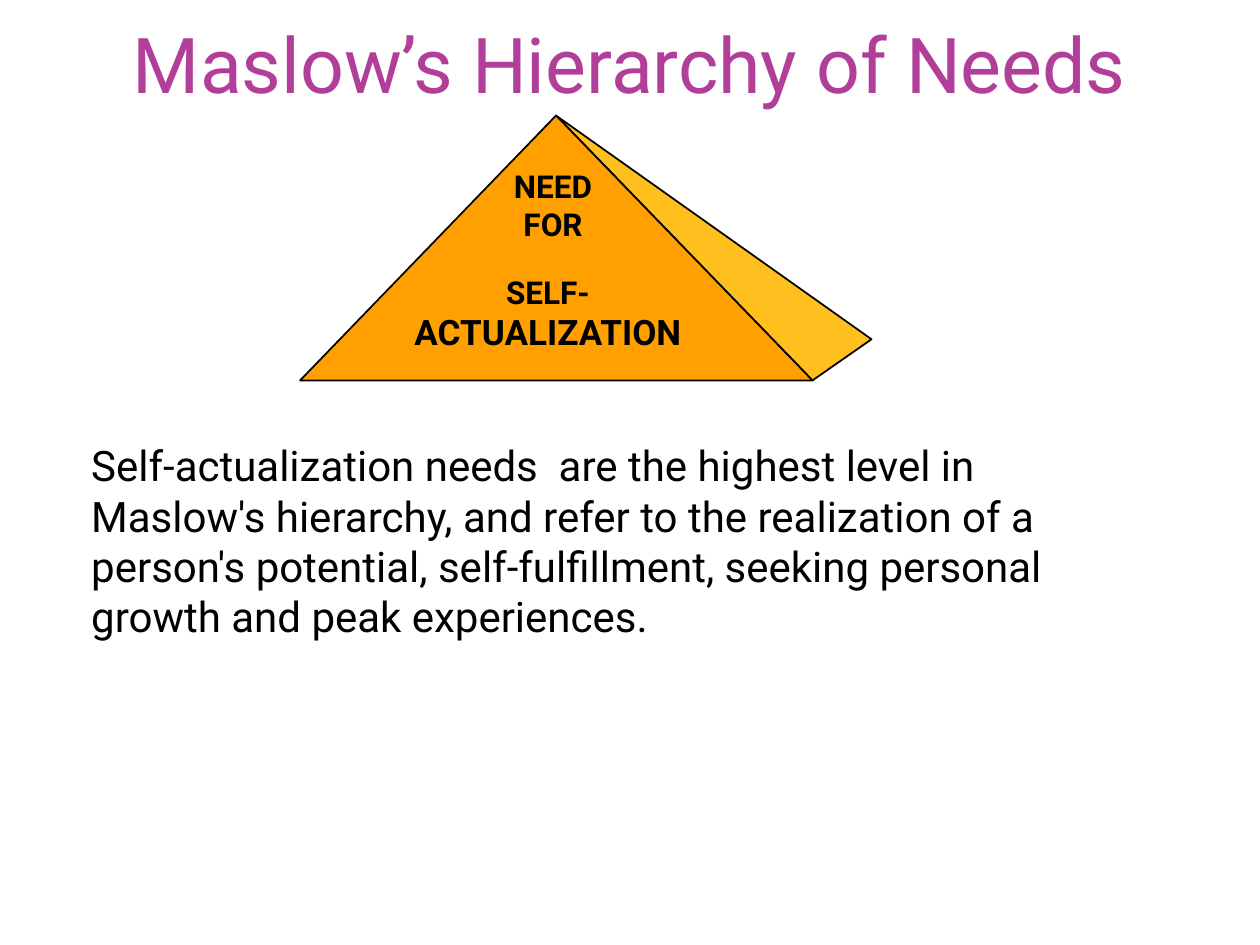
from pptx import Presentation
from pptx import util as u
from pptx.dml.color import RGBColor
from pptx.enum import text


def color(value):
    return RGBColor.from_string(value)


class SlideBuilder:
    """Hold the shared style and the current slide, and add elements to it."""

    font = "Roboto"
    ink = "000000"
    accent = "B13F9A"

    def __init__(self, presentation):
        self.slide = presentation.slides.add_slide(presentation.slide_layouts[5])

    def add_lines(self, frame, lines, align, fill, bold=False):
        for index, (words, size) in enumerate(lines):
            paragraph = frame.paragraphs[0] if index == 0 else frame.add_paragraph()
            paragraph.alignment = align
            run = paragraph.add_run()
            run.text = words
            run.font.name = self.font
            run.font.size = u.Pt(size)
            run.font.bold = bold
            run.font.color.rgb = color(fill)

    def title(self, words, size, box):
        shape = self.slide.shapes.title
        shape.left, shape.top, shape.width, shape.height = map(u.Cm, box)
        frame = shape.text_frame
        frame.auto_size = text.MSO_AUTO_SIZE.NONE
        frame.vertical_anchor = text.MSO_ANCHOR.MIDDLE
        self.add_lines(frame, [(words, size)], text.PP_ALIGN.CENTER, self.accent)

    def text_box(self, lines, box, align=text.PP_ALIGN.LEFT, wrap=True, bold=False):
        frame = self.slide.shapes.add_textbox(*map(u.Cm, box)).text_frame
        frame.word_wrap = wrap
        frame.auto_size = text.MSO_AUTO_SIZE.SHAPE_TO_FIT_TEXT
        self.add_lines(frame, lines, align, self.ink, bold)

    def label(self, lines, box):
        self.text_box(lines, box, text.PP_ALIGN.CENTER, wrap=False, bold=True)

    def face(self, corners, fill):
        points = [(u.Cm(x), u.Cm(y)) for x, y in corners]
        builder = self.slide.shapes.build_freeform(*points[0])
        builder.add_line_segments(points[1:], close=True)
        shape = builder.convert_to_shape()
        shape.shadow.inherit = False
        shape.fill.solid()
        shape.fill.fore_color.rgb = color(fill)
        shape.line.color.rgb = color(self.ink)
        shape.line.width = u.Pt(1)


def main():
    presentation = Presentation()
    presentation.slide_width = u.Cm(25.4)
    presentation.slide_height = u.Cm(19.05)
    builder = SlideBuilder(presentation)

    builder.title("Maslow’s Hierarchy of Needs", 44, (1.9, 0, 21.6, 2.54))

    apex, left, right, back = (11.21, 2.33), (6.05, 7.67), (16.38, 7.67), (17.57, 6.84)
    builder.face([right, back, apex], "FFBF1F")
    builder.face([left, right, apex], "FF9F00")

    builder.label([("SELF-", 18), ("ACTUALIZATION", 20)], (7.77, 5.38, 6.55, 2.11))
    builder.label([("NEED", 18), ("FOR", 18)], (9.73, 3.25, 2.84, 2.29))
    builder.text_box(
        [("Self-actualization needs  are the highest level in Maslow's hierarchy, "
          "and refer to the realization of a person's potential, self-fulfillment, "
          "seeking personal growth and peak experiences.", 24)],
        (1.59, 8.74, 20.04, 4.37))

    presentation.save("out.pptx")


if __name__ == "__main__":
    main()
